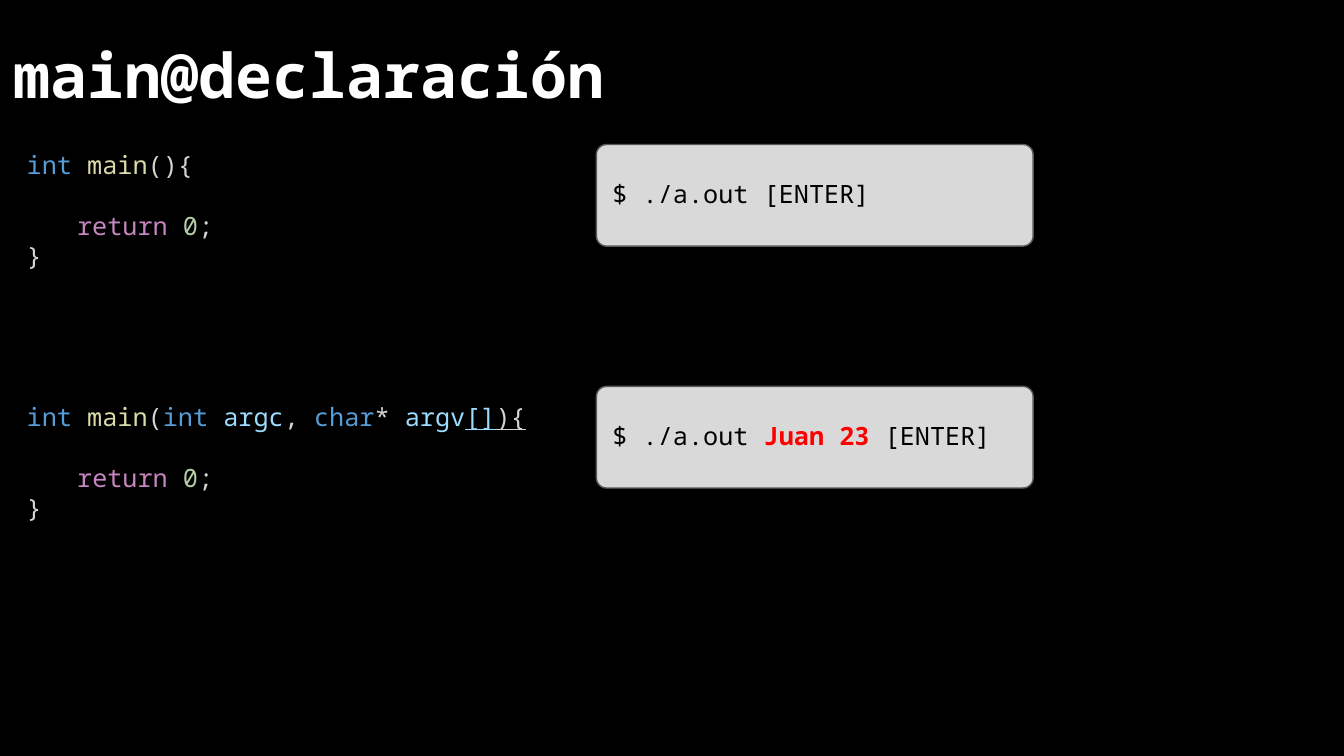
from pptx import Presentation
from pptx.dml.color import RGBColor
from pptx.enum.shapes import MSO_SHAPE as Shape
from pptx.enum.text import MSO_ANCHOR as Anchor, MSO_AUTO_SIZE as AutoSize, PP_ALIGN as Align
from pptx.util import Inches, Pt

BLACK = RGBColor(0x00, 0x00, 0x00)
WHITE = RGBColor(0xFF, 0xFF, 0xFF)
PANEL = RGBColor(0xD9, 0xD9, 0xD9)
BORDER = RGBColor(0x59, 0x59, 0x59)
RED = RGBColor(0xFF, 0x00, 0x00)
TYPE = RGBColor(0x56, 0x9C, 0xD6)
FUNCTION = RGBColor(0xDC, 0xDC, 0xAA)
PLAIN = RGBColor(0xD4, 0xD4, 0xD4)
KEYWORD = RGBColor(0xC5, 0x86, 0xC0)
NUMBER = RGBColor(0xB5, 0xCE, 0xA8)
VARIABLE = RGBColor(0x9C, 0xDC, 0xFE)

COLUMNS, ROWS = 160, 90
CODE_LEFT, CONSOLE_LEFT = 2, 71

PLAIN_MAIN = [("int ", TYPE), ("main", FUNCTION), ("(){", PLAIN)]
ARGUMENT_MAIN = [
    ("int ", TYPE), ("main", FUNCTION), ("(", PLAIN),
    ("int ", TYPE), ("argc", VARIABLE), (", ", PLAIN),
    ("char", TYPE), ("* ", PLAIN), ("argv", VARIABLE),
    ("[]", VARIABLE, {"underline": True}), ("){", PLAIN, {"underline": True}),
]
RETURN_ZERO = [("return ", KEYWORD), ("0", NUMBER), (";", PLAIN)]
CLOSING = [("}", PLAIN)]


def add_span(para, text, color, font="Noto Sans Mono", size=18, bold=False, underline=False):
    span = para.add_run()
    span.text = text
    span.font.name = font
    span.font.size = Pt(size)
    span.font.bold = bold
    span.font.underline = underline
    span.font.color.rgb = color


class CodeSlide:
    """Places elements on one slide, measured in grid columns and rows."""

    def __init__(self, deck):
        self.column = deck.slide_width / COLUMNS
        self.row = deck.slide_height / ROWS
        self.page = deck.slides.add_slide(deck.slide_layouts[5])
        self.page.background.fill.solid()
        self.page.background.fill.fore_color.rgb = BLACK

    def area(self, left, top, width, height):
        return (round(left * self.column), round(top * self.row),
                round(width * self.column), round(height * self.row))

    def title(self, text, *cells):
        box = self.page.shapes.title
        box.left, box.top, box.width, box.height = self.area(*cells)
        frame = box.text_frame
        frame.auto_size = AutoSize.NONE
        frame.vertical_anchor = Anchor.MIDDLE
        para = frame.paragraphs[0]
        para.alignment = Align.LEFT
        para.line_spacing = 1.5
        add_span(para, text, WHITE, size=44, bold=True)

    def code(self, signature, *cells):
        """Shows a function with the given signature that returns zero."""
        frame = self.page.shapes.add_textbox(*self.area(*cells)).text_frame
        frame.word_wrap = True
        for index, line in enumerate([signature, RETURN_ZERO, CLOSING]):
            para = frame.paragraphs[0] if index == 0 else frame.add_paragraph()
            if line is RETURN_ZERO:
                para.space_before = Pt(21.8)
                properties = para._p.get_or_add_pPr()
                properties.set("marL", str(Inches(0.5)))
                properties.set("indent", "0")
            for text, color, *style in line:
                add_span(para, text, color, **(style[0] if style else {}))

    def console(self, spans, *cells):
        box = self.page.shapes.add_shape(Shape.ROUNDED_RECTANGLE, *self.area(*cells))
        box.adjustments[0] = 0.1
        box.shadow.inherit = False
        box.fill.solid()
        box.fill.fore_color.rgb = PANEL
        box.line.color.rgb = BORDER
        box.line.width = Pt(1)
        frame = box.text_frame
        frame.word_wrap = True
        frame.vertical_anchor = Anchor.MIDDLE
        frame.margin_left, frame.margin_right = Inches(0.13), Inches(0.1)
        frame.margin_top, frame.margin_bottom = 0, Inches(0.04)
        para = frame.paragraphs[0]
        para.alignment = Align.LEFT
        for text, color, bold in spans:
            add_span(para, text, color, bold=bold)


def main():
    deck = Presentation()
    deck.slide_width, deck.slide_height = Inches(13.33), Inches(7.5)
    slide = CodeSlide(deck)
    slide.title("main@declaración", 0.4, 0.1, 159.6, 13.1)
    slide.code(PLAIN_MAIN, CODE_LEFT, 17.2, 36, 23)
    slide.code(ARGUMENT_MAIN, CODE_LEFT, 47.2, 80, 15.7)
    slide.console([("$ ./a.out [ENTER]", BLACK, False)], CONSOLE_LEFT, 17.2, 52, 12.1)
    slide.console([("$ ./a.out ", BLACK, False), ("Juan 23 ", RED, True),
                   ("[ENTER]", BLACK, False)], CONSOLE_LEFT, 46, 52, 12.1)
    deck.save("out.pptx")


if __name__ == "__main__":
    main()
